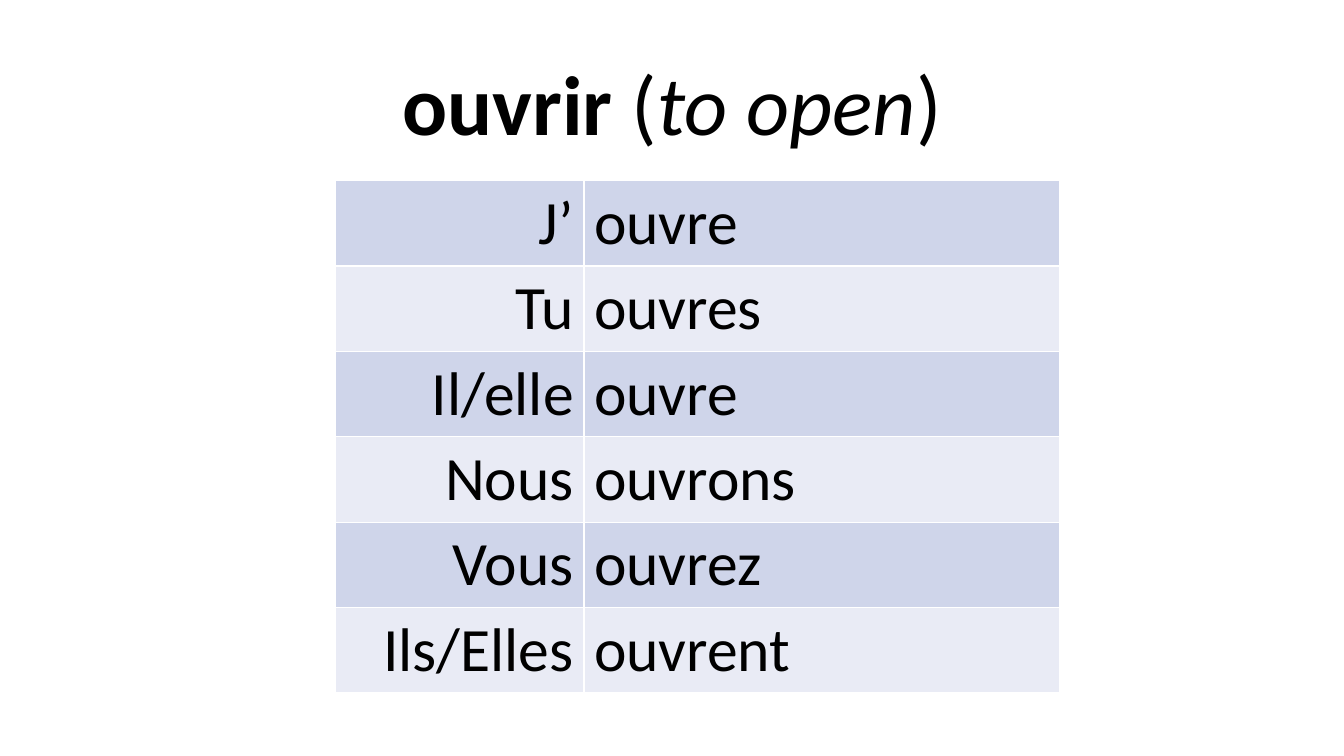
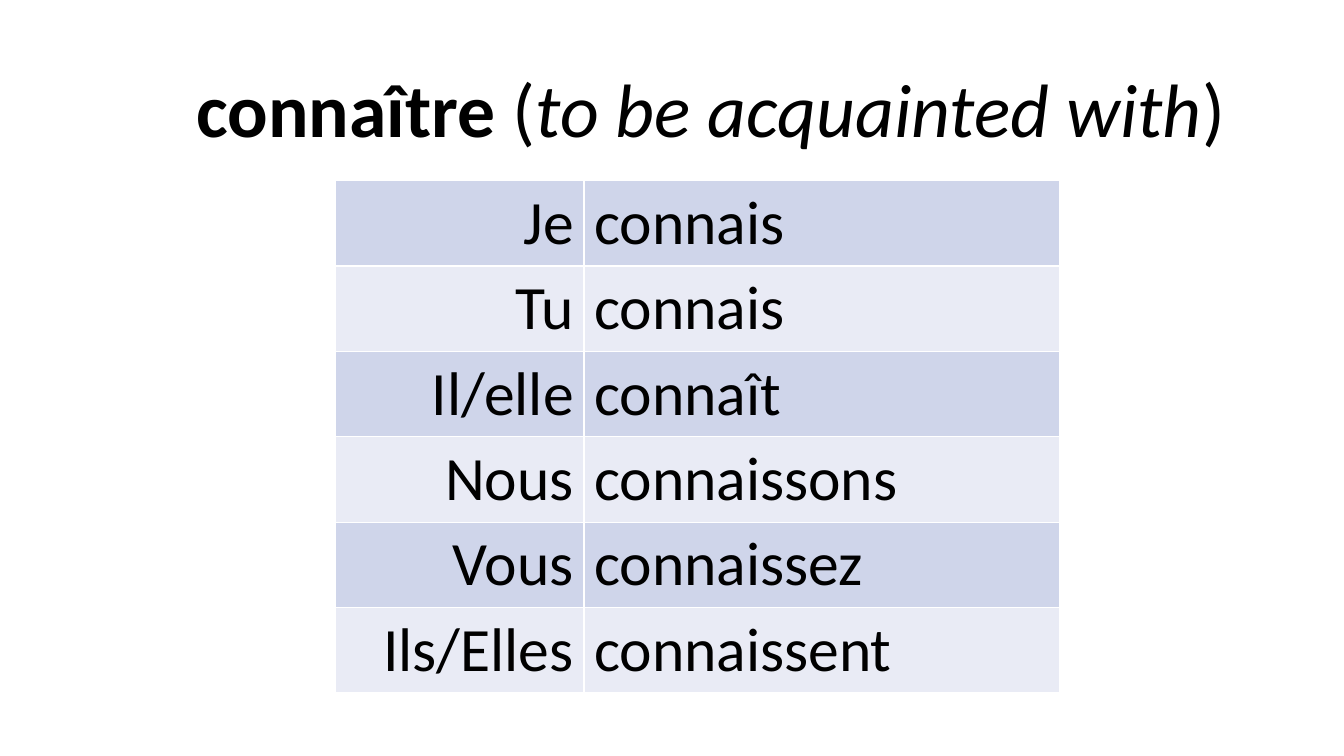
from dataclasses import dataclass

from lxml import etree
from pptx import Presentation
from pptx.dml.color import RGBColor
from pptx.enum.text import MSO_ANCHOR, MSO_AUTO_SIZE, PP_ALIGN
from pptx.oxml.ns import qn
from pptx.slide import Slide
from pptx.table import _Cell
from pptx.text.text import _Paragraph
from pptx.util import Pt

BLACK = RGBColor(0x00, 0x00, 0x00)
WHITE = RGBColor(0xFF, 0xFF, 0xFF)
BANDS = (RGBColor(0xCF, 0xD5, 0xEA), RGBColor(0xE9, 0xEB, 0xF5))

FONT = "Calibri"
LEFT = PP_ALIGN.LEFT
RIGHT = PP_ALIGN.RIGHT
CENTER = PP_ALIGN.CENTER
BOTTOM = MSO_ANCHOR.BOTTOM
NO_AUTOFIT = MSO_AUTO_SIZE.NONE
TITLE_ONLY_LAYOUT = 5

TABLE_LEFT = Pt(239.4)
TABLE_TOP = Pt(129)
COLUMN_WIDTHS = (Pt(177.7), Pt(339.5))
ROW_HEIGHT = Pt(60)
TABLE_TEXT_SIZE = 44


@dataclass(frozen=True)
class Verb:
    infinitive: str
    meaning: str
    title_size: float
    title_width: float
    first_pronoun: str
    forms: tuple[str, ...]

    def rows(self) -> list[tuple[str, str]]:
        pronouns = (self.first_pronoun, "Tu", "Il/elle", "Nous", "Vous", "Ils/Elles")
        return list(zip(pronouns, self.forms))


VERBS = (
    Verb("ouvrir", "to open", 60, 720, "J’",
         ("ouvre", "ouvres", "ouvre", "ouvrons", "ouvrez", "ouvrent")),
    Verb("connaître", "to be acquainted with", 54, 775.4, "Je",
         ("connais", "connais", "connaît", "connaissons", "connaissez", "connaissent")),
)


def add_run(paragraph: _Paragraph, text: str, size: float,
            bold: bool = False, italic: bool = False) -> None:
    run = paragraph.add_run()
    run.text = text
    run.font.name = FONT
    run.font.size = Pt(size)
    run.font.bold = bold
    run.font.italic = italic
    run.font.color.rgb = BLACK


def add_title(slide: Slide, verb: Verb) -> None:
    title = slide.shapes.title
    title.left, title.top = Pt(120), Pt(31.7)
    title.width, title.height = Pt(verb.title_width), Pt(82)
    frame = title.text_frame
    frame.word_wrap = True
    frame.auto_size = NO_AUTOFIT
    frame.vertical_anchor = BOTTOM
    paragraph = frame.paragraphs[0]
    paragraph.alignment = CENTER
    paragraph.line_spacing = 0.9
    add_run(paragraph, verb.infinitive, verb.title_size, bold=True)
    add_run(paragraph, " (", verb.title_size)
    add_run(paragraph, verb.meaning, verb.title_size, italic=True)
    add_run(paragraph, ")", verb.title_size)


def add_borders(cell: _Cell) -> None:
    properties = cell._tc.get_or_add_tcPr()
    for side in ("lnL", "lnR", "lnT", "lnB"):
        line = etree.SubElement(properties, qn(f"a:{side}"), w=str(Pt(1)))
        fill = etree.SubElement(line, qn("a:solidFill"))
        etree.SubElement(fill, qn("a:srgbClr"), val=str(WHITE))


def fill_cell(cell: _Cell, text: str, alignment: PP_ALIGN, color: RGBColor) -> None:
    add_borders(cell)
    cell.fill.solid()
    cell.fill.fore_color.rgb = color
    paragraph = cell.text_frame.paragraphs[0]
    paragraph.alignment = alignment
    add_run(paragraph, text, TABLE_TEXT_SIZE)


def add_conjugation_table(slide: Slide, verb: Verb) -> None:
    rows = verb.rows()
    table = slide.shapes.add_table(
        len(rows), len(COLUMN_WIDTHS), TABLE_LEFT, TABLE_TOP,
        sum(COLUMN_WIDTHS), ROW_HEIGHT * len(rows)).table
    table.first_row = False
    table.horz_banding = False
    for column, width in zip(table.columns, COLUMN_WIDTHS):
        column.width = width
    for index, (pronoun, form) in enumerate(rows):
        color = BANDS[index % len(BANDS)]
        fill_cell(table.cell(index, 0), pronoun, RIGHT, color)
        fill_cell(table.cell(index, 1), form, LEFT, color)


def main() -> None:
    presentation = Presentation()
    presentation.slide_width = Pt(960)
    presentation.slide_height = Pt(540)
    for verb in VERBS:
        slide = presentation.slides.add_slide(presentation.slide_layouts[TITLE_ONLY_LAYOUT])
        add_title(slide, verb)
        add_conjugation_table(slide, verb)
    presentation.save("out.pptx")


if __name__ == "__main__":
    main()
